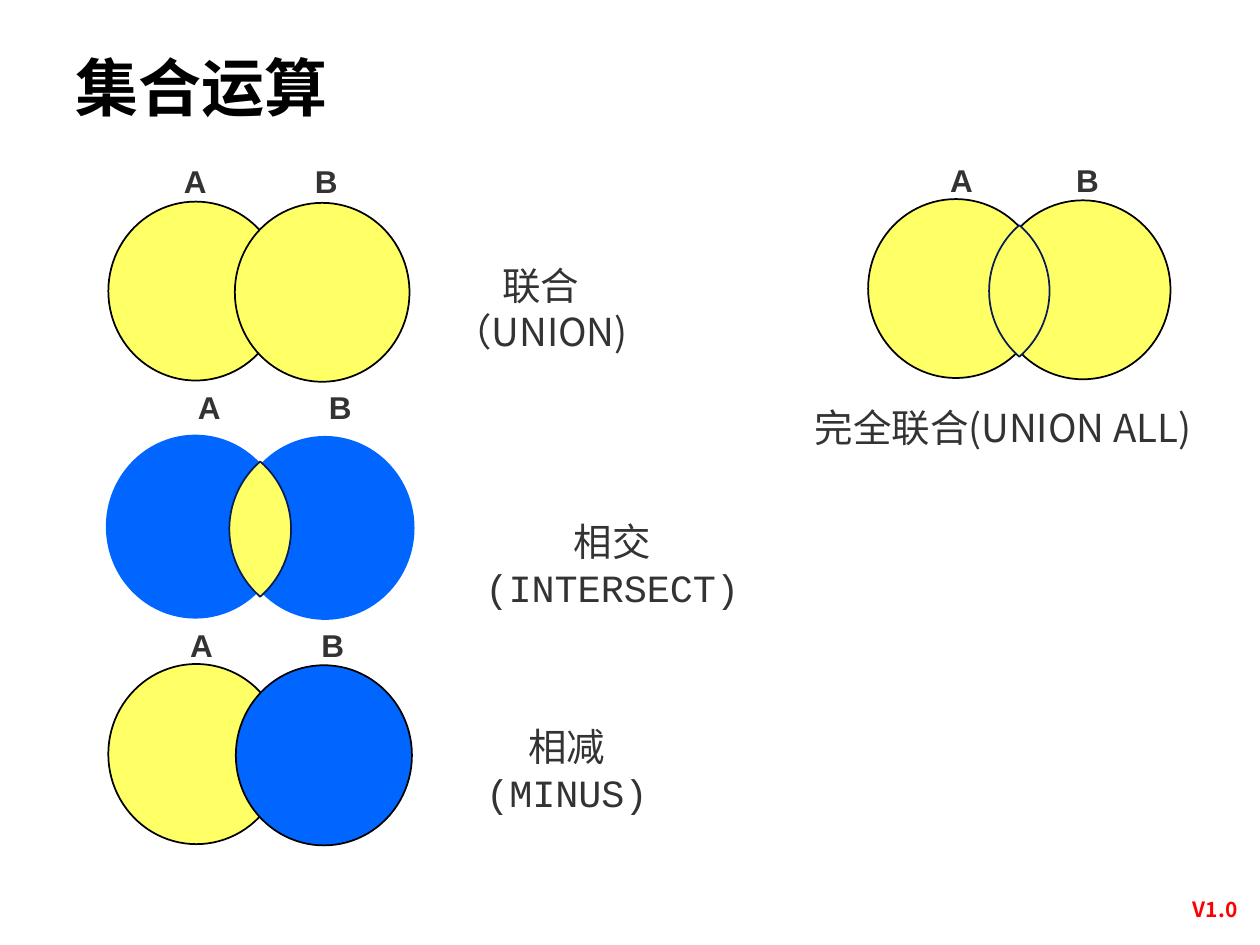
from dataclasses import dataclass
from math import asin, cos, sin

from lxml.etree import SubElement
from pptx import Presentation
from pptx.dml.color import RGBColor
from pptx.enum.shapes import MSO_SHAPE as Shape
from pptx.enum.text import MSO_ANCHOR as Anchor, PP_ALIGN as Align
from pptx.oxml.ns import qn
from pptx.util import Inches, Pt


@dataclass(frozen=True)
class Theme:
    black: str = "000000"
    ink: str = "333333"
    selected: str = "FFFF66"
    excluded: str = "0066FF"
    overlap_edge: str = "081D58"
    version: str = "FF0000"
    title_size: int = 36
    caption_size: int = 22
    label_size: int = 18
    version_size: int = 12
    cjk: str = "Noto Sans CJK SC"
    mono: str = "Courier New"
    sans: str = "Arial"


THEME = Theme()
COLUMNS, ROWS = 100, 75
UNIT = Inches(0.1)


def on_grid(*cells):
    return [round(cell * UNIT) for cell in cells]


def paint(figure, fill, edge=None):
    figure.shadow.inherit = False
    figure.fill.solid()
    figure.fill.fore_color.rgb = RGBColor.from_string(fill)
    if edge:
        figure.line.color.rgb = RGBColor.from_string(edge)
        figure.line.width = Pt(1)
    else:
        figure.line.fill.background()


def write(shapes, box, wording, size, face, color=THEME.ink, bold=False,
          align=Align.CENTER, anchor=Anchor.TOP, wrap=True):
    frame = shapes.add_textbox(*on_grid(*box)).text_frame
    frame.word_wrap = wrap
    frame.vertical_anchor = anchor
    paragraph = frame.paragraphs[0]
    paragraph.text = wording
    paragraph.alignment = align
    font = paragraph.font
    font.size, font.bold, font.name = Pt(size), bold, face
    font.color.rgb = RGBColor.from_string(color)
    east_asian = SubElement(paragraph.runs[0].font._element, qn("a:ea"))
    east_asian.set("typeface", THEME.cjk)


def draw_overlap(shapes, box):
    """Fill the lens shared by the two circles of a diagram box."""
    left, top, width, height = box
    center_x, center_y = left + width / 2, top + height * 0.51
    half_width, half_height = width * 0.1, height * 0.365
    reach, steps = asin(0.75), 32
    depth = 1 - cos(reach)

    outline = []
    for side in (1, -1):
        for step in range(steps + 1):
            angle = side * reach * (2 * step / steps - 1)
            bulge = (cos(angle) - cos(reach)) / depth
            outline.append(on_grid(center_x + side * half_width * bulge,
                                   center_y + half_height * sin(angle) / sin(reach)))
    builder = shapes.build_freeform(*outline[0])
    builder.add_line_segments(outline[1:], close=True)
    paint(builder.convert_to_shape(), THEME.selected, THEME.overlap_edge)


def draw_sets(shapes, box, fills, label_at, label_gap=10.4, edge=THEME.black,
              overlap=False):
    left, top, width, height = box
    circle_width, circle_height = width * 0.58, height * 0.993
    label_x, label_y = label_at
    for index, (name, fill) in enumerate(zip("AB", fills)):
        write(shapes, (label_x + index * label_gap, label_y, 3.8, 4), name,
              THEME.label_size, THEME.sans, bold=True, wrap=False)
        circle = shapes.add_shape(Shape.OVAL, *on_grid(
            left + index * (width - circle_width),
            top + index * (height - circle_height), circle_width, circle_height))
        paint(circle, fill, edge)
    if overlap:
        draw_overlap(shapes, box)


def draw_caption(shapes, box, wording, face=THEME.cjk):
    write(shapes, box, wording, THEME.caption_size, face)


def draw_union(shapes):
    draw_sets(shapes, (8.6, 16, 23.9, 14.3), [THEME.selected] * 2, (13.6, 12.4))
    draw_caption(shapes, (32.5, 20.3, 20.8, 4.7), "联合（UNION)")


def draw_union_all(shapes):
    draw_sets(shapes, (68.9, 15.8, 24, 14.3), [THEME.selected] * 2, (74.4, 12.3),
              label_gap=10, overlap=True)
    draw_caption(shapes, (63.5, 31.6, 32.2, 4.6), "完全联合(UNION ALL)")


def draw_intersect(shapes):
    draw_sets(shapes, (8.4, 34.5, 24.5, 14.7), [THEME.excluded] * 2, (14.7, 30.3),
              edge=None, overlap=True)
    draw_caption(shapes, (34.4, 40.6, 28.4, 4.7), "相交\v(INTERSECT)", THEME.mono)


def draw_minus(shapes):
    draw_sets(shapes, (8.6, 52.7, 24.1, 14.4), [THEME.selected, THEME.excluded],
              (14.1, 49.2))
    draw_caption(shapes, (34.5, 56.9, 21, 4.7), "相减\v(MINUS)", THEME.mono)


def main():
    deck = Presentation()
    deck.slide_width, deck.slide_height = on_grid(COLUMNS, ROWS)
    shapes = deck.slides.add_slide(deck.slide_layouts[6]).shapes
    write(shapes, (92.5, 70.7, 7.9, 3), "V1.0", THEME.version_size, THEME.cjk,
          THEME.version, bold=True)
    write(shapes, (5, 3, 79.7, 7.7), "集合运算", THEME.title_size, THEME.mono,
          THEME.black, bold=True, align=Align.LEFT, anchor=Anchor.MIDDLE)
    draw_union(shapes)
    draw_union_all(shapes)
    draw_intersect(shapes.add_group_shape().shapes)
    draw_minus(shapes)
    deck.save("out.pptx")


if __name__ == "__main__":
    main()
